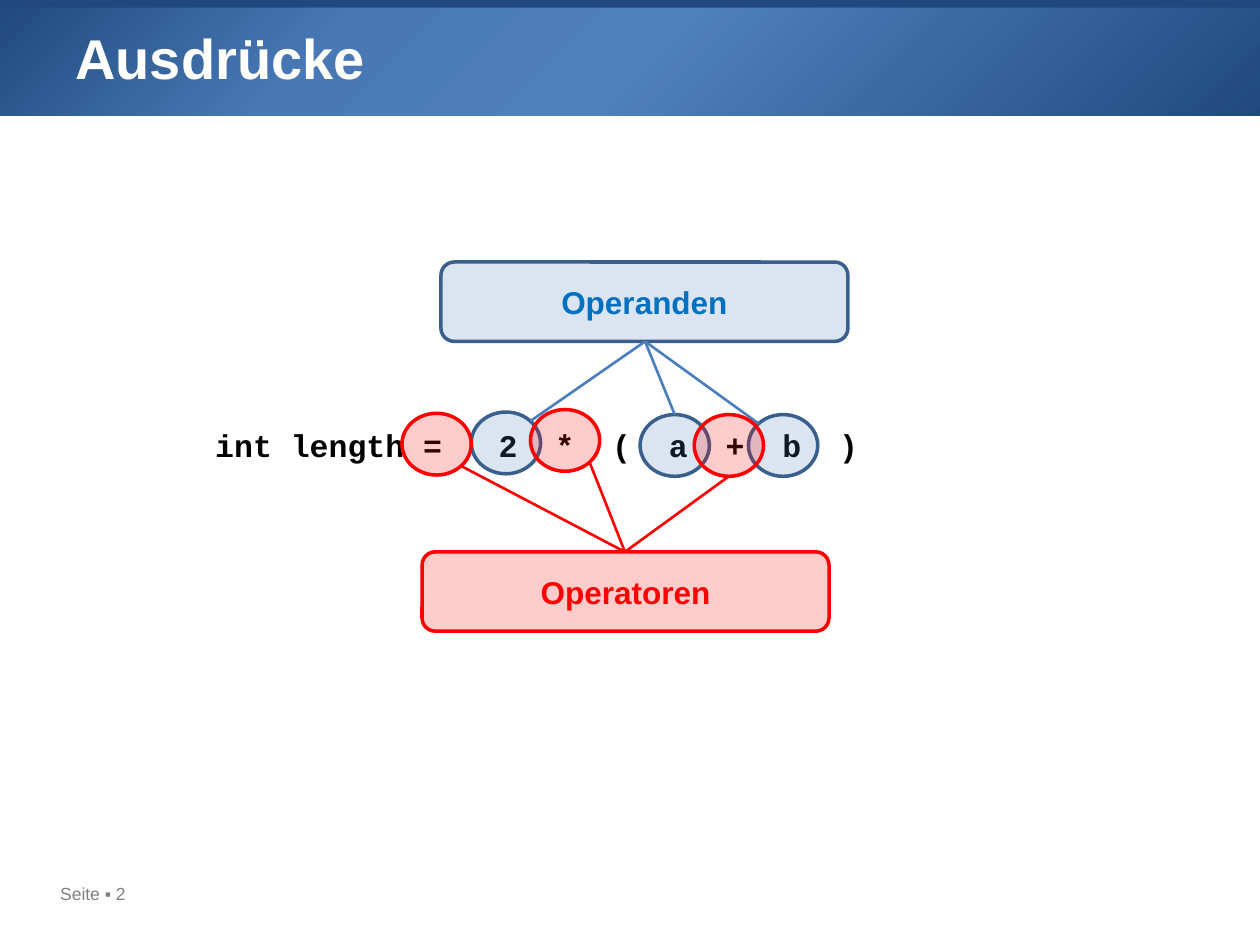
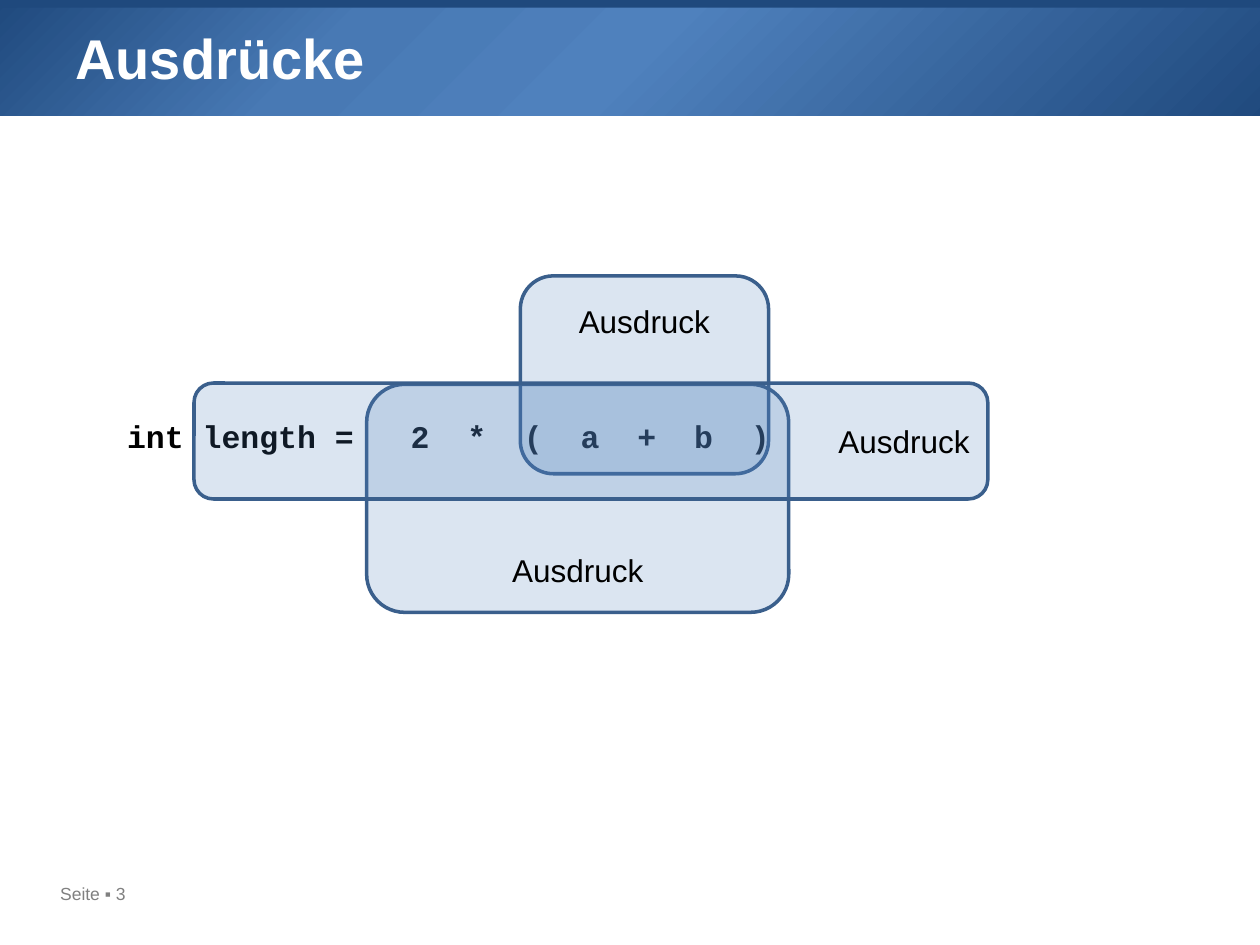
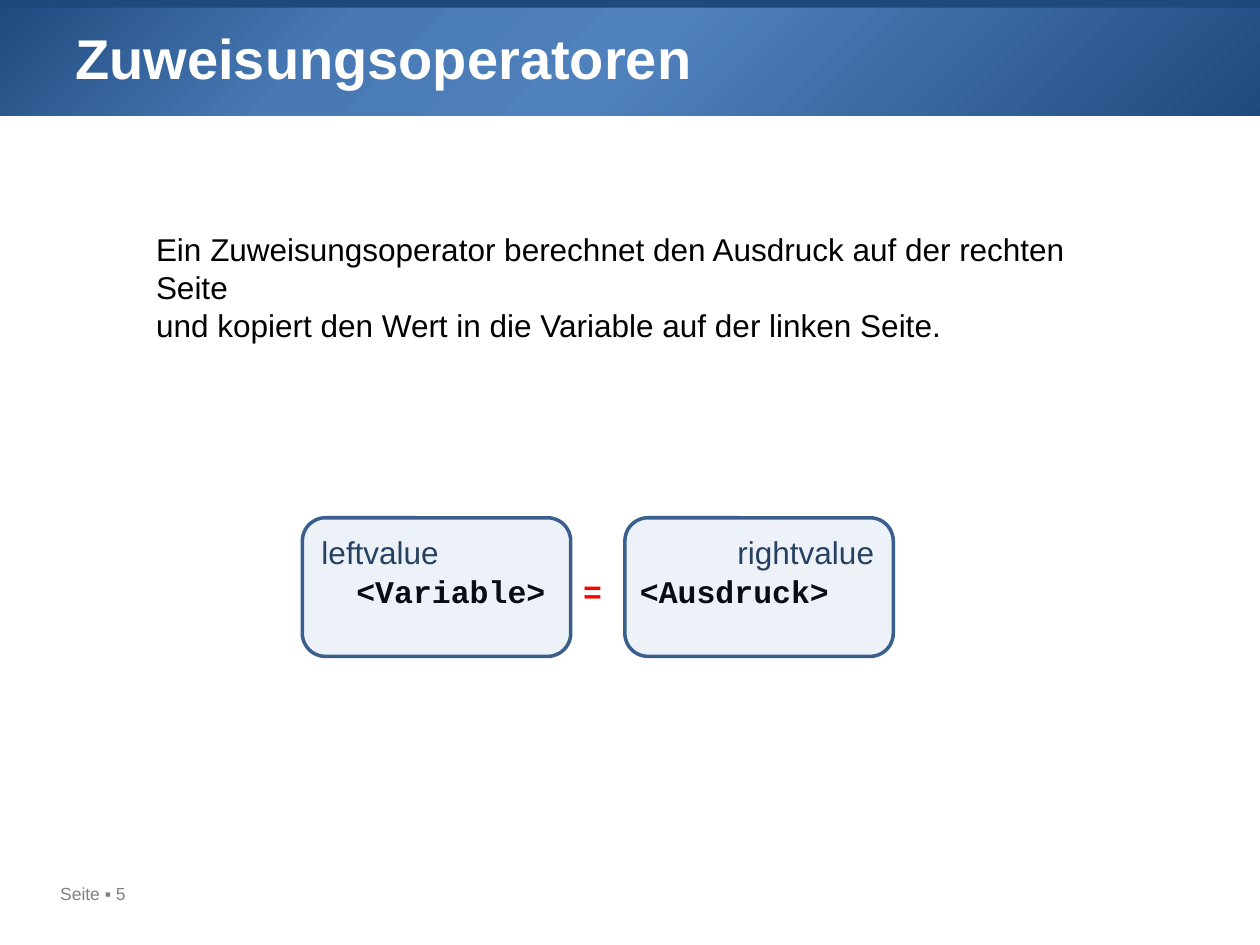
import math

from lxml import etree
from pptx import Presentation
from pptx.dml.color import RGBColor
from pptx.enum.shapes import MSO_CONNECTOR, MSO_SHAPE
from pptx.enum.text import MSO_ANCHOR, PP_ALIGN
from pptx.oxml.ns import qn
from pptx.util import Inches, Pt

RECTANGLE, ROUNDED, ELLIPSE = MSO_SHAPE.RECTANGLE, MSO_SHAPE.ROUNDED_RECTANGLE, MSO_SHAPE.OVAL
STRAIGHT = MSO_CONNECTOR.STRAIGHT
TOP, MIDDLE, BOTTOM = MSO_ANCHOR.TOP, MSO_ANCHOR.MIDDLE, MSO_ANCHOR.BOTTOM
LEFT, CENTER, RIGHT = PP_ALIGN.LEFT, PP_ALIGN.CENTER, PP_ALIGN.RIGHT

COLORS = {
    "navy": "1F497D", "blue": "4F81BD", "band": "4879B4", "outline": "3A5F8C",
    "link": "4B7EBC", "operand": "0070C0", "red": "FF0000", "value": "254061",
    "black": "000000", "white": "FFFFFF", "gray": "808080",
}
BAND_STOPS = [(0, "navy"), (27, "band"), (50, "blue"), (100, "navy")]
SANS, MONO = "Arial", "Courier New"
CIRCLE_SIZE = (0.55, 0.49)
EXPRESSION = "int length =   2  *  (  a  +  b  )"


def rgb(name):
    return RGBColor.from_string(COLORS[name])


class Deck:
    """Holds the shared style and the current slide."""

    def __init__(self):
        self.presentation = Presentation()
        self.presentation.slide_width = Inches(10)
        self.presentation.slide_height = Inches(7.5)
        self.slide = None

    def new_slide(self, page):
        self.slide = self.presentation.slides.add_slide(self.presentation.slide_layouts[6])
        header = self.shape(RECTANGLE, (-0.01, -0.01, 10.12, 0.93))
        self.gradient(header, BAND_STOPS)
        self.shape(RECTANGLE, (-0.01, -0.03, 10.12, 0.09), "navy")
        self.text((0.38, 6.96, 1.47, 0.27), f"Seite ▪ {page}", 10, "gray")

    def title(self, text):
        self.text((0.5, 0.14, 9, 1.25), text, 32, "white", bold=True)

    def style(self, paragraph, size, color, bold=False, font=SANS, align=LEFT):
        paragraph.alignment = align
        paragraph.font.name = font
        paragraph.font.size = Pt(size)
        paragraph.font.bold = bold
        paragraph.font.color.rgb = rgb(color)

    def text(self, box, text, size=18, color="black", bold=False, font=SANS, wrap=True):
        frame = self.slide.shapes.add_textbox(*map(Inches, box)).text_frame
        frame.word_wrap = wrap
        paragraph = frame.paragraphs[0]
        paragraph.text = text
        self.style(paragraph, size, color, bold, font)
        return paragraph

    def code(self, box, text):
        return self.text(box, text, bold=True, font=MONO, wrap=False)

    def shape(self, kind, box, fill=None, opacity=100, line=None):
        shape = self.slide.shapes.add_shape(kind, *map(Inches, box))
        shape.shadow.inherit = False
        if fill:
            shape.fill.solid()
            shape.fill.fore_color.rgb = rgb(fill)
            if opacity < 100:
                color = shape.fill._xPr.find(qn("a:solidFill"))[0]
                etree.SubElement(color, qn("a:alpha"), val=str(opacity * 1000))
        else:
            shape.fill.background()
        if line:
            shape.line.color.rgb = rgb(line)
            shape.line.width = Pt(2)
        else:
            shape.line.fill.background()
        return shape

    def gradient(self, shape, stops):
        """Circular gradient that starts in the top left corner."""
        properties = shape._element.spPr
        gradient = etree.Element(qn("a:gradFill"), rotWithShape="1")
        stop_list = etree.SubElement(gradient, qn("a:gsLst"))
        for position, color in stops:
            stop = etree.SubElement(stop_list, qn("a:gs"), pos=str(position * 1000))
            etree.SubElement(stop, qn("a:srgbClr"), val=COLORS[color])
        circle = etree.SubElement(gradient, qn("a:path"), path="circle")
        etree.SubElement(circle, qn("a:fillToRect"), r="100000", b="100000")
        properties.replace(properties.find(qn("a:noFill")), gradient)

    def label_box(self, box, text, color="black", fill="blue", line="outline", opacity=20,
                  bold=False, align=CENTER, anchor=MIDDLE, margin=0.05):
        shape = self.shape(ROUNDED, box, fill, opacity, line)
        frame = shape.text_frame
        frame.word_wrap = True
        frame.vertical_anchor = anchor
        frame.margin_top = frame.margin_bottom = Inches(margin)
        frame.paragraphs[0].text = text
        self.style(frame.paragraphs[0], 18, color, bold, align=align)

    def connector(self, start, end, color):
        line = self.slide.shapes.add_connector(STRAIGHT, *map(Inches, (*start, *end)))
        line.line.color.rgb = rgb(color)
        line.line.width = Pt(1.5)
        etree.SubElement(line._element.spPr, qn("a:effectLst"))

    def circle_fan(self, hub, circles, fill, outline, link):
        """Circles as (left, top, angle); a line joins each rim at its angle to the hub."""
        width, height = CIRCLE_SIZE
        for left, top, angle in circles:
            self.shape(ELLIPSE, (left, top, width, height), fill, 20, outline)
            turn = math.radians(angle)
            rim = (left + width / 2 * (1 + math.cos(turn)),
                   top + height / 2 * (1 + math.sin(turn)))
            self.connector(hub, rim, link)


def operands_slide(deck):
    deck.new_slide(2)
    deck.code((1.61, 3.33, 5.78, 0.4), EXPRESSION)
    # Operands above the expression
    deck.label_box((3.5, 2.08, 3.23, 0.63), "Operanden", "operand", bold=True)
    deck.circle_fan((5.12, 2.71), [(3.74, 3.27, -45), (5.08, 3.29, -90), (5.94, 3.29, -135)],
                    "blue", "outline", "link")
    # Operators below the expression
    deck.label_box((3.35, 4.38, 3.23, 0.63), "Operatoren", "red", "red", "red", bold=True)
    deck.circle_fan((4.96, 4.38), [(4.21, 3.25, 45), (5.51, 3.29, 90), (3.19, 3.28, 45)],
                    "red", "red", "red")
    deck.title("Ausdrücke")


def expressions_slide(deck):
    deck.new_slide(3)
    deck.code((0.91, 3.26, 5.78, 0.4), EXPRESSION)
    # Nested expressions, innermost first
    deck.label_box((4.13, 2.19, 1.97, 1.57), "Ausdruck", anchor=TOP, margin=0.13)
    deck.label_box((2.91, 3.05, 3.35, 1.81), "Ausdruck", anchor=BOTTOM, margin=0.1)
    deck.label_box((1.54, 3.04, 6.3, 0.92), "Ausdruck", align=RIGHT)
    deck.title("Ausdrücke")


def assignment_slide(deck):
    deck.new_slide(5)
    deck.text((1.14, 1.78, 7.64, 1),
              "Ein Zuweisungsoperator berechnet den Ausdruck auf der rechten Seite\v"
              "und kopiert den Wert in die Variable auf der linken Seite.")
    # Assignment with a red operator
    assignment = deck.code((2.73, 4.49, 4, 0.4), "<Variable>  ")
    operator = assignment.add_run()
    operator.text = "="
    operator.font.color.rgb = rgb("red")
    assignment.add_run().text = "  <Ausdruck>"
    # Boxes around both sides
    for left, label, align in [(2.4, "leftvalue", LEFT), (4.96, "rightvalue", RIGHT)]:
        deck.label_box((left, 4.11, 2.13, 1.1), label, "value", opacity=10,
                       align=align, anchor=TOP, margin=0.07)
    deck.title("Zuweisungsoperatoren")


def main():
    deck = Deck()
    operands_slide(deck)
    expressions_slide(deck)
    assignment_slide(deck)
    deck.presentation.save("out.pptx")


if __name__ == "__main__":
    main()
